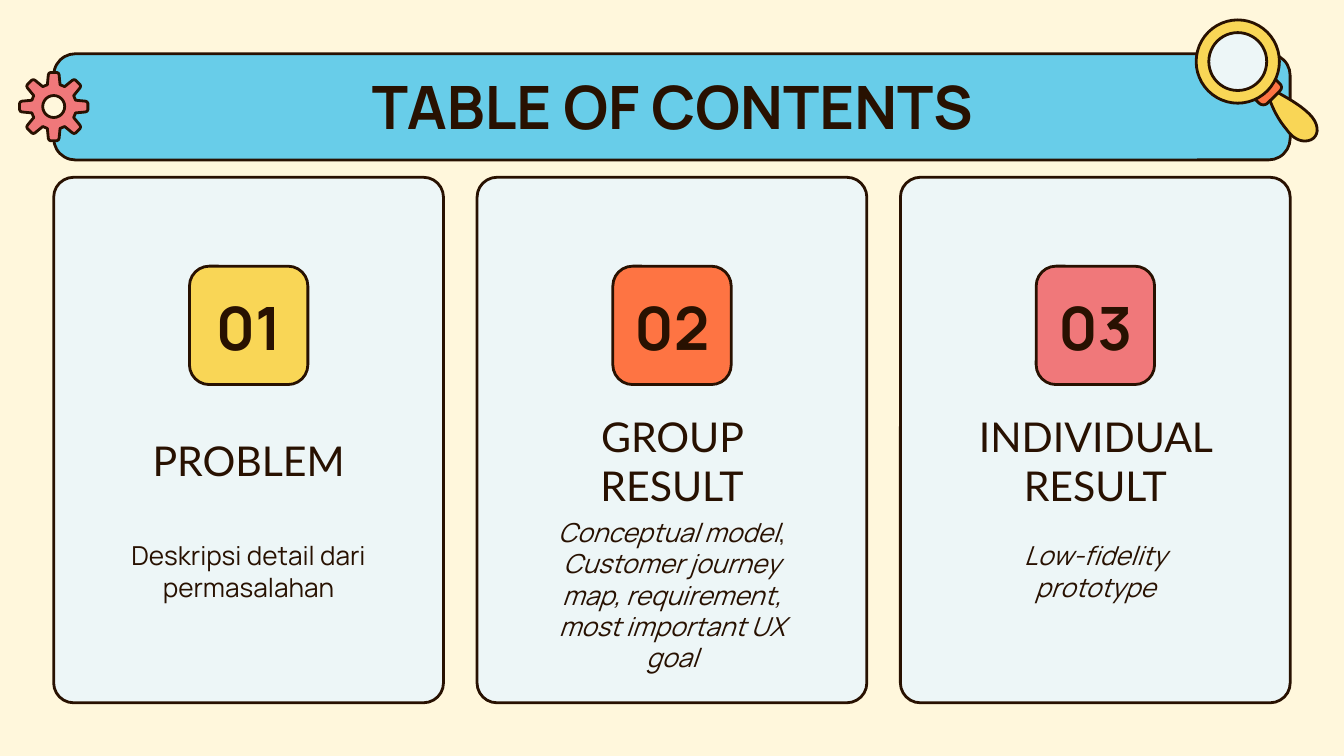
from dataclasses import dataclass
from math import cos, pi, sin

from pptx import Presentation
from pptx.dml.color import RGBColor
from pptx.enum.shapes import MSO_SHAPE as Preset
from pptx.enum.text import MSO_ANCHOR as Anchor, PP_ALIGN as Align
from pptx.util import Pt

CREAM = RGBColor(0xFF, 0xF7, 0xDC)
INK = RGBColor(0x28, 0x11, 0x01)
BLUE = RGBColor(0x68, 0xCD, 0xE9)
ICE = RGBColor(0xED, 0xF6, 0xF7)
YELLOW = RGBColor(0xF9, 0xD6, 0x56)
ORANGE = RGBColor(0xFE, 0x74, 0x43)
CORAL = RGBColor(0xF0, 0x78, 0x7A)

Point = tuple[float, float]

MARGIN, CARD_WIDTH, CARD_PITCH = 28.8, 208.8, 226.8
CARD_TOP, CARD_HEIGHT = 95, 281.5
BADGE_SIZE = 63.4


@dataclass(frozen=True)
class Box:
    left: float
    top: float
    width: float
    height: float

    def lengths(self) -> list[Pt]:
        return [Pt(value) for value in (self.left, self.top, self.width, self.height)]


@dataclass(frozen=True)
class Style:
    font: str
    size: float
    bold: bool = False


@dataclass(frozen=True)
class Span:
    text: str
    italic: bool = False


@dataclass(frozen=True)
class Section:
    number: str
    heading: str
    details: tuple[Span, ...]
    color: RGBColor
    details_height: float = 57.6


TITLE = Style("Manrope", 32, True)
HEADING = Style("Lato", 22)
BODY = Style("Manrope", 14)

SECTIONS = (
    Section("01", "PROBLEM", (Span("Deskripsi detail dari permasalahan"),), YELLOW),
    Section(
        "02",
        "GROUP RESULT",
        (
            Span("Conceptual model", True),
            Span(", "),
            Span("Customer journey map, requirement, most important UX goal", True),
        ),
        ORANGE,
        82.8,
    ),
    Section("03", "INDIVIDUAL RESULT", (Span("Low-fidelity prototype", True),), CORAL),
)


def paint(shape, color: RGBColor) -> None:
    """Give a shape its fill and the shared dark outline."""
    shape.shadow.inherit = False
    shape.fill.solid()
    shape.fill.fore_color.rgb = color
    shape.line.color.rgb = INK
    shape.line.width = Pt(1.5)


def add_panel(page, box: Box, color: RGBColor, radius: float) -> None:
    """Draw an outlined rectangle with rounded corners."""
    panel = page.shapes.add_shape(Preset.ROUNDED_RECTANGLE, *box.lengths())
    panel.adjustments[0] = radius
    paint(panel, color)


def add_disc(page, center: Point, radius: float, color: RGBColor) -> None:
    """Draw an outlined circle around a center."""
    box = Box(center[0] - radius, center[1] - radius, 2 * radius, 2 * radius)
    paint(page.shapes.add_shape(Preset.OVAL, *box.lengths()), color)


def add_outline(page, points: list[Point], color: RGBColor) -> None:
    """Draw a closed freeform through the points."""
    start, *others = [(Pt(x), Pt(y)) for x, y in points]
    builder = page.shapes.build_freeform(*start)
    builder.add_line_segments(others, close=True)
    paint(builder.convert_to_shape(), color)


def curve(a: Point, b: Point, c: Point, d: Point, steps: int = 12) -> list[Point]:
    """Sample a cubic curve from a to d."""
    points = []
    for step in range(steps + 1):
        t = step / steps
        weights = ((1 - t) ** 3, 3 * t * (1 - t) ** 2, 3 * t * t * (1 - t), t**3)
        points.append(
            tuple(sum(w * p[axis] for w, p in zip(weights, (a, b, c, d))) for axis in (0, 1))
        )
    return points


def add_text(
    page, box: Box, spans: tuple[Span, ...], style: Style, anchor: Anchor = Anchor.MIDDLE
) -> None:
    """Write one centred paragraph in a text box."""
    frame = page.shapes.add_textbox(*box.lengths()).text_frame
    frame.word_wrap = True
    frame.vertical_anchor = anchor
    frame.margin_left = frame.margin_right = Pt(7.2)
    frame.margin_top = frame.margin_bottom = Pt(7.2)
    paragraph = frame.paragraphs[0]
    paragraph.alignment = Align.CENTER
    for span in spans:
        run = paragraph.add_run()
        run.text = span.text
        run.font.name = style.font
        run.font.size = Pt(style.size)
        run.font.bold = style.bold
        run.font.italic = span.italic
        run.font.color.rgb = INK


def add_magnifier(page) -> None:
    """Draw the magnifying glass at the right end of the banner."""
    handle = [
        (684.7, 49.7),
        *curve((680.4, 54), (682.6, 59.8), (685.4, 64.8), (689, 69.1)),
        *curve((689, 69.1), (692.6, 74.2), (696.2, 75.6), (699.1, 75.6)),
        *curve((699.1, 75.6), (706.3, 75.6), (709.2, 67), (699.1, 59)),
        *curve((699.1, 59), (694.8, 55.4), (689.8, 52.6), (684.7, 49.7)),
    ]
    collar = [
        (683.3, 42.5),
        (672.5, 53.3),
        *curve((674.6, 55.4), (676, 56.5), (677.6, 56.5), (679, 55.4)),
        *curve((685.4, 49), (686.9, 47.5), (686.9, 46.1), (685.4, 44.6)),
    ]
    add_outline(page, handle, YELLOW)
    add_outline(page, collar, ORANGE)
    add_disc(page, (663.1, 33), 22.3, YELLOW)
    add_disc(page, (663.1, 33), 15.5, ICE)


def add_gear(page, center: Point, teeth: int = 8) -> None:
    """Draw a toothed wheel with a round hole."""
    half = [(11.7, 3.4), (17, 2.9), (17.9, 2.5), (18.3, 1.7)]
    profile = [(out, -side) for out, side in half] + half[::-1]
    points = []
    for tooth in range(teeth):
        angle = 2 * pi * tooth / teeth
        for out, side in profile:
            x = center[0] + out * cos(angle) - side * sin(angle)
            y = center[1] + out * sin(angle) + side * cos(angle)
            points.append((x, y))
    add_outline(page, points, CORAL)
    add_disc(page, center, 5.9, CREAM)


def add_section(page, section: Section, left: float) -> None:
    """Draw one contents card with its badge and texts."""
    middle = left + CARD_WIDTH / 2
    add_panel(page, Box(left, CARD_TOP, CARD_WIDTH, CARD_HEIGHT), ICE, 0.051)
    badge = Box(middle - BADGE_SIZE / 2, 142.6, BADGE_SIZE, BADGE_SIZE)
    add_panel(page, badge, section.color, 0.167)
    add_text(page, Box(middle - 35, 154.1, 70, 41.8), (Span(section.number),), TITLE)
    add_text(page, Box(middle - 77, 220.3, 154, 52.6), (Span(section.heading),), HEADING)
    add_text(page, Box(middle - 77, 277.2, 154, section.details_height), section.details, BODY)


def main() -> None:
    """Build the contents slide."""
    deck = Presentation()
    deck.slide_width, deck.slide_height = Pt(720), Pt(405)
    page = deck.slides.add_slide(deck.slide_layouts[6])
    page.background.fill.solid()
    page.background.fill.fore_color.rgb = CREAM
    add_panel(page, Box(MARGIN, 28.8, 662.4, 56.9), BLUE, 0.204)
    add_magnifier(page)
    add_gear(page, (MARGIN, 57.1))
    add_text(page, Box(56.9, 30.2, 607, 46.8), (Span("TABLE OF CONTENTS"),), TITLE, Anchor.TOP)
    for index, section in enumerate(SECTIONS):
        add_section(page, section, MARGIN + index * CARD_PITCH)
    deck.save("out.pptx")


if __name__ == "__main__":
    main()
